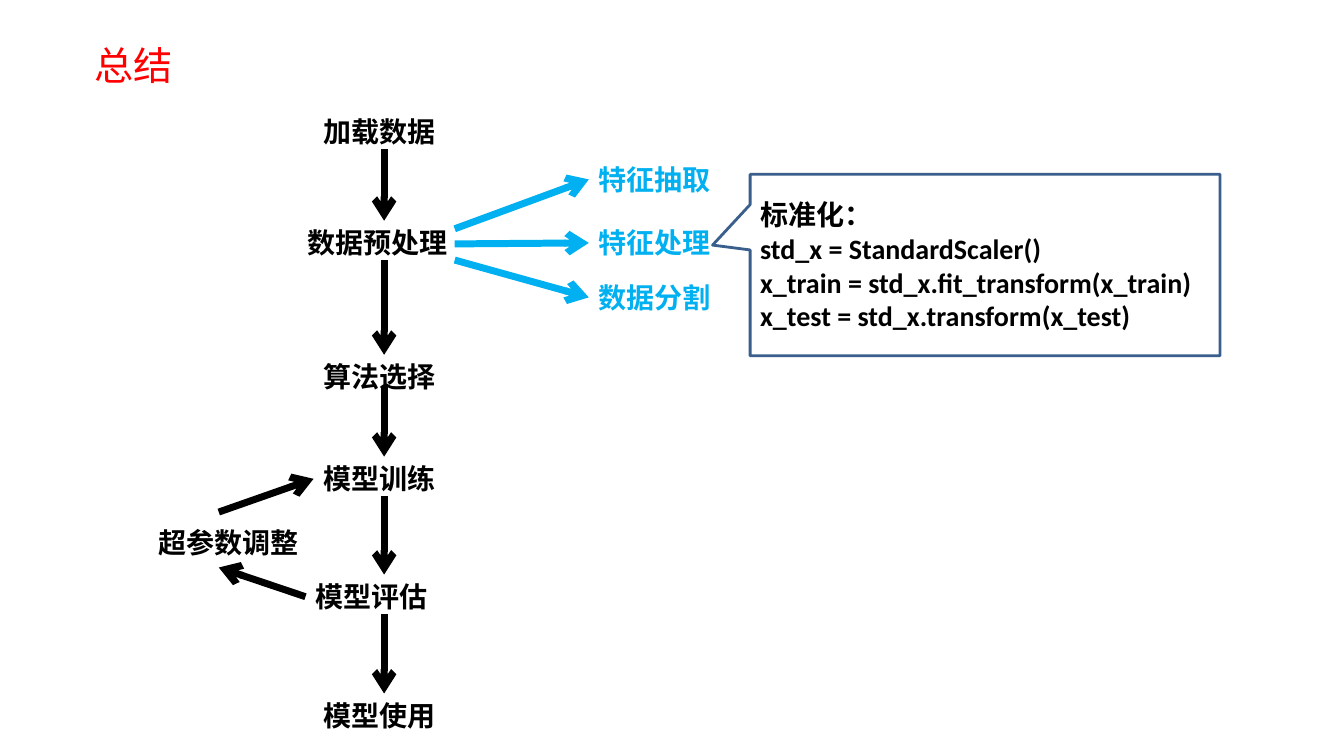
from dataclasses import dataclass
from typing import Optional

from lxml import etree
from pptx import Presentation
from pptx import util as u
from pptx.dml.color import RGBColor
from pptx.enum import shapes, text
from pptx.oxml.ns import qn

PX = 9144  # EMU per px, 100 px to the inch


@dataclass(frozen=True)
class Theme:
    black: str = "000000"
    blue: str = "00B0F0"
    red: str = "FF0000"
    white: str = "FFFFFF"
    edge: str = "3A5F8C"
    font: str = "Calibri"
    cjk: str = "Noto Sans CJK SC"
    title: int = 28
    body: int = 20
    arrow: int = 5
    frame: int = 2


@dataclass(frozen=True)
class Label:
    text: str
    left: int
    top: int
    width: int = 133
    color: str = Theme.black
    wrap: bool = False


@dataclass(frozen=True)
class Arrow:
    start: tuple[int, int]
    end: tuple[int, int]
    color: str = Theme.black
    source: Optional[str] = None  # label left by its right or left side
    target: Optional[str] = None  # label entered from the left


T = Theme()
HIGH = 44  # label height
AXIS = 381  # x of the main flow

LABELS = [
    Label("加载数据", 311, 109),
    Label("数据预处理", 295, 219, 161),
    Label("算法选择", 311, 352),
    Label("模型训练", 311, 453),
    Label("模型评估", 303, 570, 141, wrap=True),
    Label("模型使用", 311, 688),
    Label("超参数调整", 147, 516, 161),
    Label("特征抽取", 584, 156, color=T.blue),
    Label("特征处理", 584, 219, color=T.blue),
    Label("数据分割", 584, 273, color=T.blue),
]

FLOW = [(148, 219), (258, 352), (383, 453), (492, 570), (609, 688)]
ARROWS = [Arrow((AXIS, a), (AXIS, b)) for a, b in FLOW] + [
    Arrow((451, 227), (584, 178), T.blue, target="特征抽取"),
    Arrow((451, 242), (584, 241), T.blue, target="特征处理"),
    Arrow((451, 258), (584, 295), T.blue, target="数据分割"),
    Arrow((217, 508), (311, 475), target="模型训练"),
    Arrow((303, 592), (217, 563), source="模型评估"),
]

CODE = [
    "标准化：",
    "std_x = StandardScaler()",
    "x_train = std_x.fit_transform(x_train)",
    "x_test = std_x.transform(x_test)",
]


def px(*vals: int) -> list[u.Emu]:
    return [u.Emu(v * PX) for v in vals]


def style(par, size: int, color: str, bold: bool = True, face: str = T.font) -> None:
    font = par.font
    font.name, font.size, font.bold = face, u.Pt(size), bold
    font.color.rgb = RGBColor.from_string(color)
    par.alignment = text.PP_ALIGN.LEFT


def add_label(slide, item: Label, high: int = HIGH):
    box = slide.shapes.add_textbox(*px(item.left, item.top, item.width, high))
    frame = box.text_frame
    frame.word_wrap = item.wrap
    frame.auto_size = text.MSO_AUTO_SIZE.SHAPE_TO_FIT_TEXT
    frame.text = item.text
    style(frame.paragraphs[0], T.body, item.color)
    return box


def add_arrow(slide, item: Arrow, boxes: dict) -> None:
    line = slide.shapes.add_connector(
        shapes.MSO_CONNECTOR.STRAIGHT, *px(*item.start, *item.end))
    if item.source:
        line.begin_connect(boxes[item.source], 1)
    if item.target:
        line.end_connect(boxes[item.target], 1)
    line.line.width = u.Pt(T.arrow)
    line.line.color.rgb = RGBColor.from_string(item.color)
    etree.SubElement(line.line._get_or_add_ln(), qn("a:tailEnd"), type="arrow")
    etree.SubElement(line._element.spPr, qn("a:effectLst"))


def add_note(slide) -> None:
    note = slide.shapes.add_shape(
        shapes.MSO_SHAPE.RECTANGULAR_CALLOUT, *px(744, 173, 466, 180))
    note.adjustments[0], note.adjustments[1] = -0.58, -0.11
    note.shadow.inherit = False
    note.fill.solid()
    note.fill.fore_color.rgb = RGBColor.from_string(T.white)
    note.line.color.rgb = RGBColor.from_string(T.edge)
    note.line.width = u.Pt(T.frame)
    frame = note.text_frame
    frame.word_wrap = True
    frame.vertical_anchor = text.MSO_ANCHOR.MIDDLE
    frame.text = "\n".join(CODE)
    for par in frame.paragraphs:
        style(par, T.body, T.black)


def main() -> None:
    deck = Presentation()
    deck.slide_width, deck.slide_height = px(1333, 750)
    slide = deck.slides.add_slide(deck.slide_layouts[6])

    # Title
    title = add_label(slide, Label("总结", 84, 36, 99), 57)
    style(title.text_frame.paragraphs[0], T.title, T.red, False, T.cjk)

    # Steps and the arrows between them
    boxes = {item.text: add_label(slide, item) for item in LABELS}
    for item in ARROWS:
        add_arrow(slide, item, boxes)

    # Code callout
    add_note(slide)
    deck.save("out.pptx")


if __name__ == "__main__":
    main()
